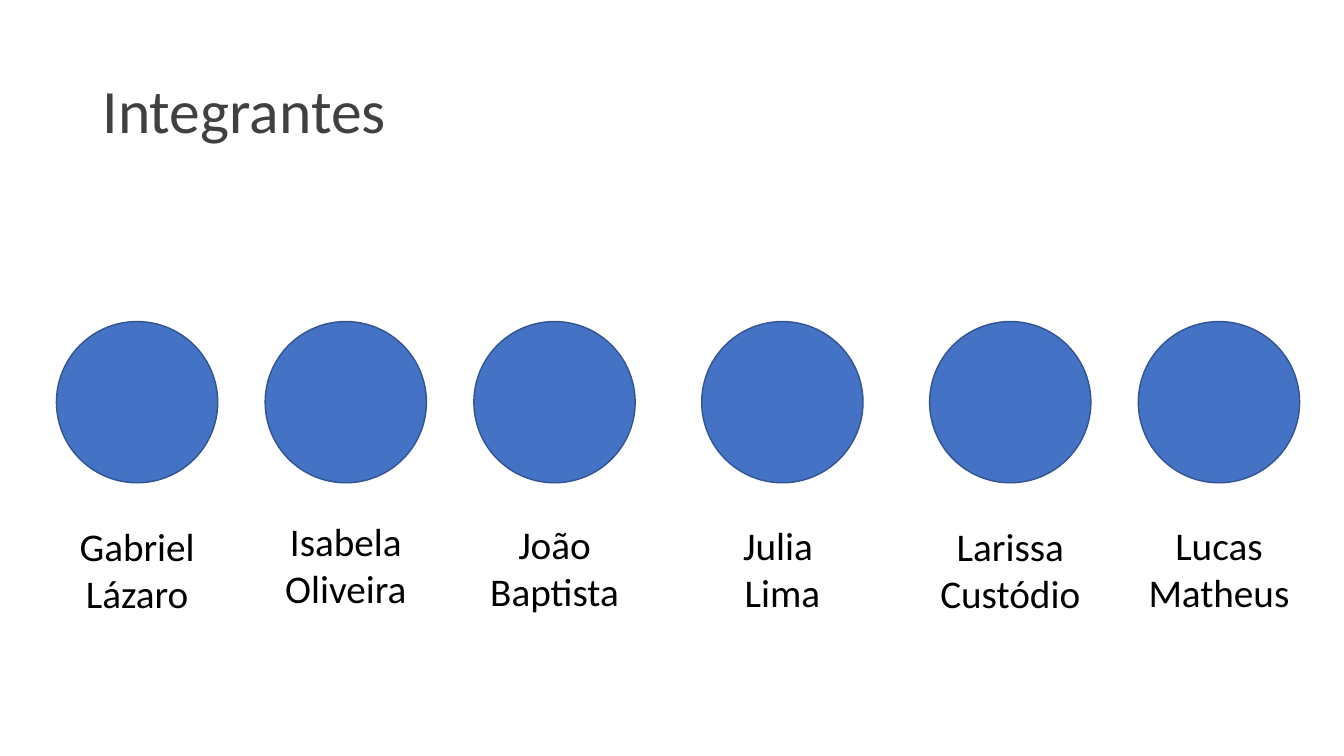
from itertools import accumulate

from pptx import Presentation
from pptx.dml.color import RGBColor
from pptx.enum.shapes import MSO_SHAPE as SHAPE
from pptx.enum.text import MSO_ANCHOR as ANCHOR, PP_ALIGN as ALIGN
from pptx.util import Inches, Pt

W, H = 13.33, 7.5
FONT = "Calibri"
CIRCLE = 1.6
NAME_W, NAME_H = 2.17, 1.04

# Paragraphs of each name and its drop below the circle's top
MEMBERS = [
    (["Gabriel Lázaro"], 1.94),
    (["Isabela Oliveira"], 1.89),
    (["João Baptista"], 1.92),
    (["Julia ", "Lima"], 1.93),
    (["Larissa", "Custódio"], 1.94),
    (["Lucas", "Matheus"], 1.93),
]
# Distances between circle centres; Julia stands a little apart
NEAR, FAR = 2.07, 2.26
STEPS = [NEAR, NEAR, FAR, FAR, NEAR]


def rgb(value):
    return RGBColor.from_string(value)


def add_text(s, box, lines, size, color, align, anchor=ANCHOR.TOP, spacing=1.0):
    tf = s.shapes.add_textbox(*map(Inches, box)).text_frame
    tf.word_wrap = True
    tf.vertical_anchor = anchor
    for i, line in enumerate(lines):
        p = tf.add_paragraph() if i else tf.paragraphs[0]
        p.alignment = align
        p.line_spacing = spacing
        r = p.add_run()
        r.text = line
        r.font.name, r.font.size = FONT, Pt(size)
        r.font.color.rgb = rgb(color)


def add_title(s, box):
    add_text(s, box, ["Integrantes"], 44, "404040", ALIGN.LEFT, ANCHOR.MIDDLE, 0.9)


def add_member(s, center, top, lines, drop):
    # Portrait circle
    sp = s.shapes.add_shape(SHAPE.OVAL, Inches(center - CIRCLE / 2), Inches(top),
                            Inches(CIRCLE), Inches(CIRCLE))
    sp.shadow.inherit = False
    sp.fill.solid()
    sp.fill.fore_color.rgb = rgb("4472C4")
    sp.line.color.rgb = rgb("325491")
    sp.line.width = Pt(1)
    # Name below, centred on the circle
    box = (center - NAME_W / 2, top + drop, NAME_W, NAME_H)
    add_text(s, box, lines, 28, "000000", ALIGN.CENTER)


def add_team(s, left, top):
    centers = accumulate(STEPS, initial=left + CIRCLE / 2)
    for center, (lines, drop) in zip(centers, MEMBERS):
        add_member(s, center, top, lines, drop)


def main():
    prs = Presentation()
    prs.slide_width, prs.slide_height = Inches(W), Inches(H)
    s = prs.slides.add_slide(prs.slide_layouts[6])
    add_title(s, (0.92, 0.4, 11.5, 1.45))
    add_team(s, 0.56, 3.19)
    prs.save("out.pptx")


if __name__ == "__main__":
    main()
